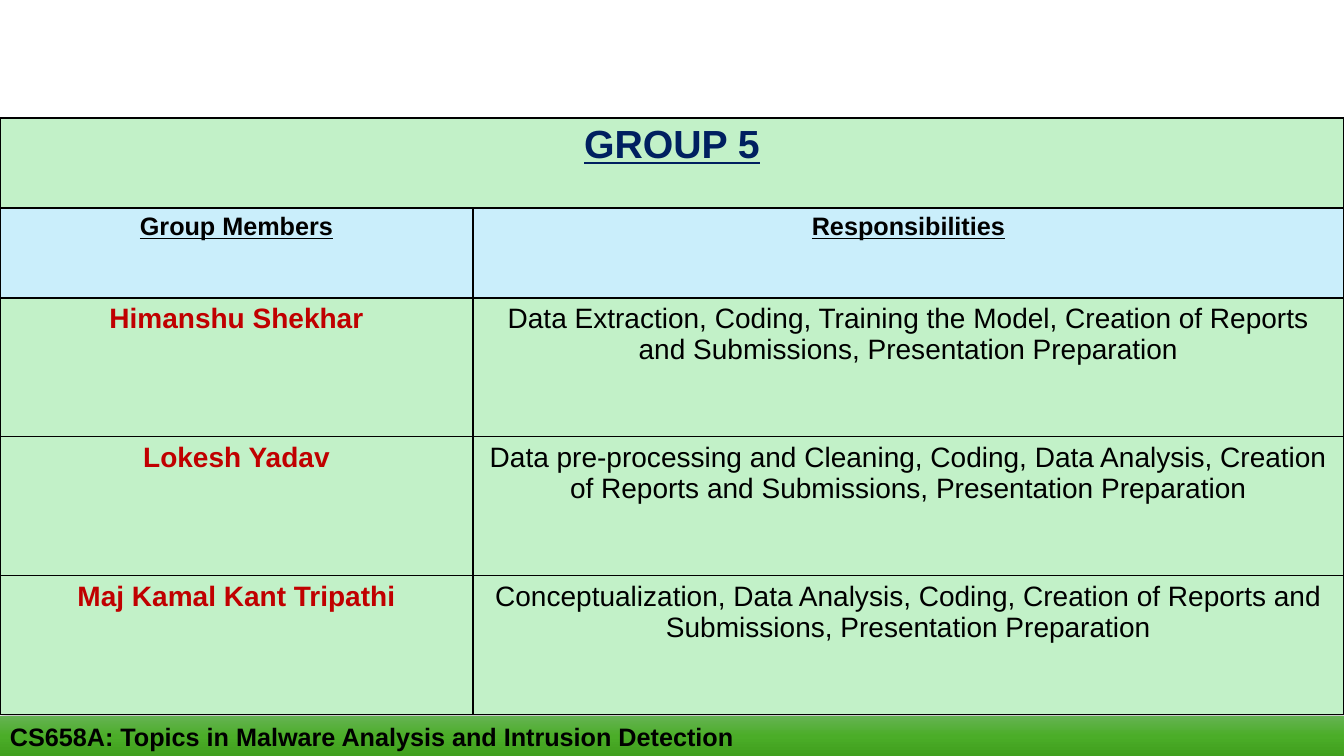
"""Build the group roles slide: one table above a course footer."""
from lxml import etree
from pptx import Presentation
from pptx.dml.color import RGBColor
from pptx.enum.shapes import MSO_SHAPE
from pptx.enum.text import MSO_ANCHOR, PP_ALIGN
from pptx.oxml.ns import qn
from pptx.util import Emu, Pt

RECT = MSO_SHAPE.RECTANGLE
MIDDLE = MSO_ANCHOR.MIDDLE
LEFT, CENTER = PP_ALIGN.LEFT, PP_ALIGN.CENTER

TITLE = "GROUP 5"
HEADS = ("Group Members", "Responsibilities")
MEMBERS = [
    ("Himanshu Shekhar",
     "Data Extraction, Coding, Training the Model, Creation of Reports "
     "and Submissions, Presentation Preparation"),
    ("Lokesh Yadav",
     "Data pre-processing and Cleaning, Coding, Data Analysis, Creation "
     "of Reports and Submissions, Presentation Preparation"),
    ("Maj Kamal Kant Tripathi",
     "Conceptualization, Data Analysis, Coding, Creation of Reports and "
     "Submissions, Presentation Preparation"),
]
COURSE = "CS658A: Topics in Malware Analysis and Intrusion Detection"

WIDE, HIGH = 1344, 756
TOP, FOOT = 118, 40
COLS = (473, 871)
ROWS = (90, 90) + (139,) * len(MEMBERS)


class Theme:
    """Colours, type sizes and the font."""
    font = "Arial"
    navy, red, black = "002060", "C00000", "000000"
    green, blue = "C2F1C8", "CAEEFB"
    fade = ((0, "66B354"), (50, "4BAD28"), (100, "409F1E"))
    title, head, body = 28, 18, 20


def px(count):
    """Turn pixels into EMU."""
    return Emu(round(count * 914400 / 100.8))


def node(parent, tag, **attrs):
    """Add one drawing element."""
    return etree.SubElement(parent, qn("a:" + tag), attrs)


def write(frame, text, size, color, bold=True, under=False, align=CENTER):
    """Fill a text frame with one styled paragraph."""
    para = frame.paragraphs[0]
    para.text, para.alignment = text, align
    font = para.font
    font.name, font.size = Theme.font, Pt(size)
    font.bold, font.underline = bold, under
    font.color.rgb = RGBColor.from_string(color)


def paint(cell, color):
    """Give a cell black borders and a plain fill."""
    props = cell._tc.get_or_add_tcPr()
    for side in ("lnL", "lnR", "lnT", "lnB"):
        line = node(props, side, w=str(Pt(1)))
        node(node(line, "solidFill"), "srgbClr", val=Theme.black)
    cell.fill.solid()
    cell.fill.fore_color.rgb = RGBColor.from_string(color)


def add_footer(slide):
    """Draw the shaded course bar."""
    bar = slide.shapes.add_shape(RECT, 0, px(HIGH - FOOT), px(WIDE), px(FOOT))
    bar.line.fill.background()
    bar.fill.gradient()
    bar.fill.gradient_angle = 270
    props = bar._element.spPr
    stops = props.find(qn("a:gradFill")).find(qn("a:gsLst"))
    stops.clear()
    for place, color in Theme.fade:
        node(node(stops, "gs", pos=str(place * 1000)), "srgbClr", val=color)
    bar.shadow.inherit = False
    shade = node(props.find(qn("a:effectLst")), "outerShdw",
                 blurRad=str(Pt(4.5)), dist=str(Pt(1.5)), dir="5400000",
                 algn="ctr", rotWithShape="0")
    node(node(shade, "srgbClr", val=Theme.black), "alpha", val="63000")
    bar.text_frame.vertical_anchor = MIDDLE
    bar.text_frame.word_wrap = True
    write(bar.text_frame, COURSE, Theme.head, Theme.black, align=LEFT)


def add_roles(slide):
    """Draw the table of members and their work."""
    table = slide.shapes.add_table(len(ROWS), len(COLS), 0, px(TOP),
                                   px(WIDE), px(sum(ROWS))).table
    table.first_row = table.horz_banding = False
    for col, width in zip(table.columns, COLS):
        col.width = px(width)
    for row, height in zip(table.rows, ROWS):
        row.height = px(height)
    for index, row in enumerate(table.rows):
        for cell in row.cells:
            paint(cell, Theme.blue if index == 1 else Theme.green)
    banner = table.cell(0, 0)
    banner.merge(table.cell(0, 1))
    write(banner.text_frame, TITLE, Theme.title, Theme.navy, under=True)
    for col, head in enumerate(HEADS):
        write(table.cell(1, col).text_frame, head, Theme.head, Theme.black,
              under=True)
    for row, (name, work) in enumerate(MEMBERS, 2):
        write(table.cell(row, 0).text_frame, name, Theme.body, Theme.red)
        write(table.cell(row, 1).text_frame, work, Theme.body, Theme.black,
              bold=False)


def main():
    """Make and save the slide."""
    deck = Presentation()
    deck.slide_width, deck.slide_height = px(WIDE), px(HIGH)
    slide = deck.slides.add_slide(deck.slide_layouts[6])
    add_footer(slide)
    add_roles(slide)
    deck.save("out.pptx")


if __name__ == "__main__":
    main()
